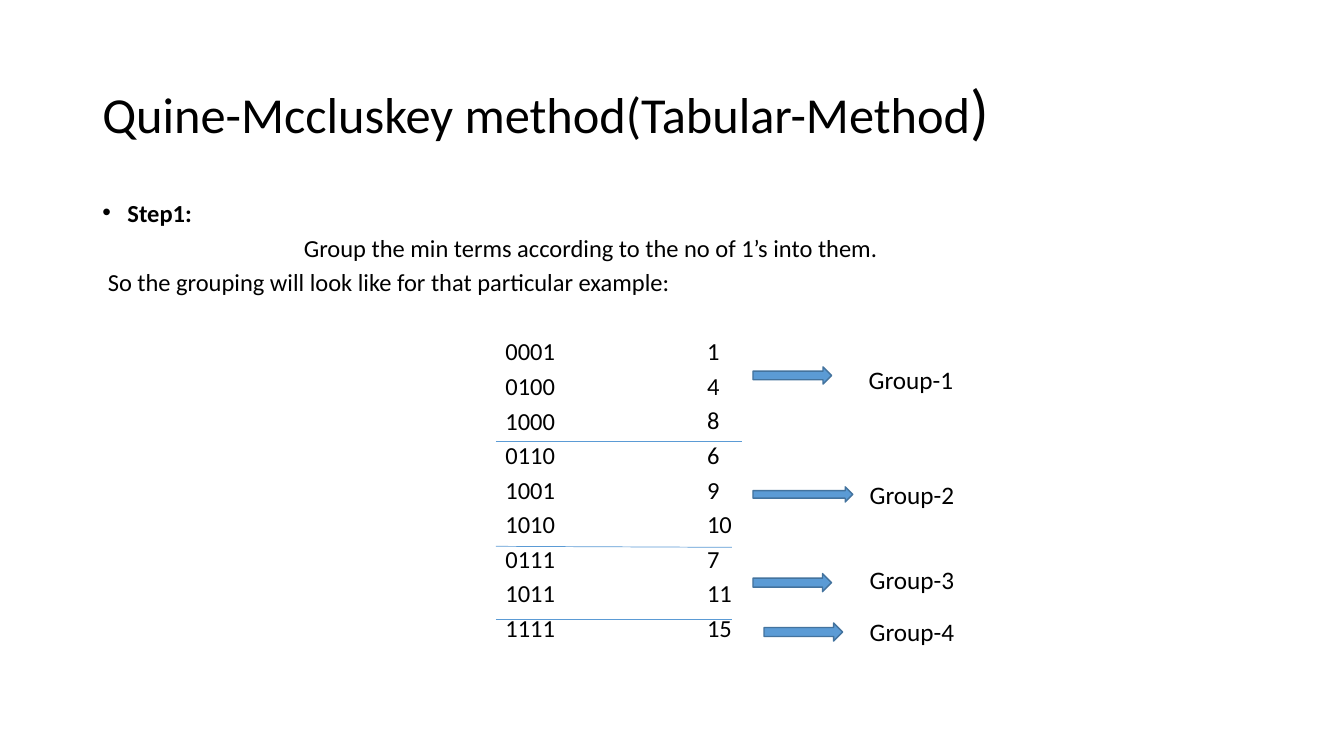
from lxml import etree
from pptx import Presentation
from pptx.dml.color import RGBColor
from pptx.enum import shapes, text
from pptx.oxml import ns
from pptx.util import Pt

BLACK = RGBColor(0x00, 0x00, 0x00)
BLUE = RGBColor(0x5B, 0x9B, 0xD5)
DARK_BLUE = RGBColor(0x43, 0x73, 0x9E)

BODY_SIZE = 17.5
BODY_GAP = 10
LINE_HEIGHT = 14.75
MINTERMS = (1, 4, 8, 6, 9, 10, 7, 11, 15)
DIVIDERS = (
    (354.24, 315.36, 529.92, 315.36),
    (354.24, 390.24, 522.72, 390.96),
    (354.24, 442.08, 522.72, 442.08),
)
GROUPS = (
    ((537.84, 262.08, 56.16, 12.24), (613.44, 257.04)),
    ((537.84, 347.76, 71.28, 10.8), (614.16, 339.12)),
    ((537.84, 409.68, 56.16, 12.96), (614.16, 399.6)),
    ((545.76, 444.96, 56.16, 12.96), (614.16, 437.04)),
)


def add_child(parent, tag, **attributes):
    """Append a DrawingML element to a parent element."""
    return etree.SubElement(parent, ns.qn(tag), **attributes)


def add_box(page, left, top, width, height, anchor=text.MSO_ANCHOR.TOP):
    """Add a wrapping text box and return its text frame."""
    frame = page.shapes.add_textbox(Pt(left), Pt(top), Pt(width), Pt(height)).text_frame
    frame.word_wrap = True
    frame.vertical_anchor = anchor
    return frame


def add_span(para, wording, size=18, bold=False):
    """Add formatted text to a paragraph."""
    span = para.add_run()
    span.text = wording
    span.font.name = "Calibri"
    span.font.size = Pt(size)
    span.font.bold = bold
    span.font.color.rgb = BLACK


def add_body_line(frame, wording, bold=False, margin=0, gap=BODY_GAP, bullet=False):
    """Add a body paragraph with its indent and bullet."""
    para = frame.paragraphs[0] if not frame.text else frame.add_paragraph()
    para.line_spacing = 0.7
    para.space_before = Pt(gap)
    properties = para._p.get_or_add_pPr()
    properties.set("marL", str(Pt(margin)))
    properties.set("indent", str(-Pt(margin) if bullet else 0))
    if bullet:
        add_child(properties, "a:buFont", typeface="Arial")
        add_child(properties, "a:buChar", char="•")
    add_span(para, wording, size=BODY_SIZE, bold=bold)


def add_divider(page, start_x, start_y, end_x, end_y):
    """Draw a thin line between two groups."""
    line = page.shapes.add_connector(
        shapes.MSO_CONNECTOR.STRAIGHT, Pt(start_x), Pt(start_y), Pt(end_x), Pt(end_y)
    )
    line.line.color.rgb = BLUE
    line.line.width = Pt(0.5)
    add_child(line._element.spPr, "a:effectLst")


def add_arrow(page, left, top, width, height):
    """Draw a block arrow that points to a group label."""
    arrow = page.shapes.add_shape(
        shapes.MSO_SHAPE.RIGHT_ARROW, Pt(left), Pt(top), Pt(width), Pt(height)
    )
    arrow.shadow.inherit = False
    arrow.fill.solid()
    arrow.fill.fore_color.rgb = BLUE
    arrow.line.color.rgb = DARK_BLUE
    arrow.line.width = Pt(1)


def add_title(page):
    """Add the slide title."""
    frame = add_box(page, 66, 28.75, 828, 104.4, anchor=text.MSO_ANCHOR.MIDDLE)
    para = frame.paragraphs[0]
    para.line_spacing = 0.9
    add_span(para, "Quine-Mccluskey method(Tabular-Method", size=36)
    add_span(para, ")", size=44)


def add_body(page):
    """Add the step, the binary codes and the column of minterms."""
    body = add_box(page, 66, 143.75, 828, 342.6)
    add_body_line(body, "Step1:", bold=True, margin=18, bullet=True)
    add_body_line(body, "Group the min terms according to the no of 1’s into them.", margin=144)
    add_body_line(body, " So the grouping will look like for that particular example:")
    column = add_box(page, 498, 242.5, 50, 243.85)
    for index, minterm in enumerate(MINTERMS):
        gap = BODY_GAP if index else 2 * BODY_GAP + LINE_HEIGHT
        add_body_line(body, f"{minterm:04b}", margin=288, gap=gap)
        add_body_line(column, str(minterm))


def main():
    """Build and save the slide."""
    deck = Presentation()
    deck.slide_width, deck.slide_height = Pt(960), Pt(540)
    page = deck.slides.add_slide(deck.slide_layouts[6])
    add_title(page)
    add_body(page)
    for divider in DIVIDERS:
        add_divider(page, *divider)
    for number, (arrow, label) in enumerate(GROUPS, start=1):
        add_arrow(page, *arrow)
        frame = add_box(page, *label, 129.6, 28.8)
        add_span(frame.paragraphs[0], f"Group-{number}")
    deck.save("out.pptx")


if __name__ == "__main__":
    main()
